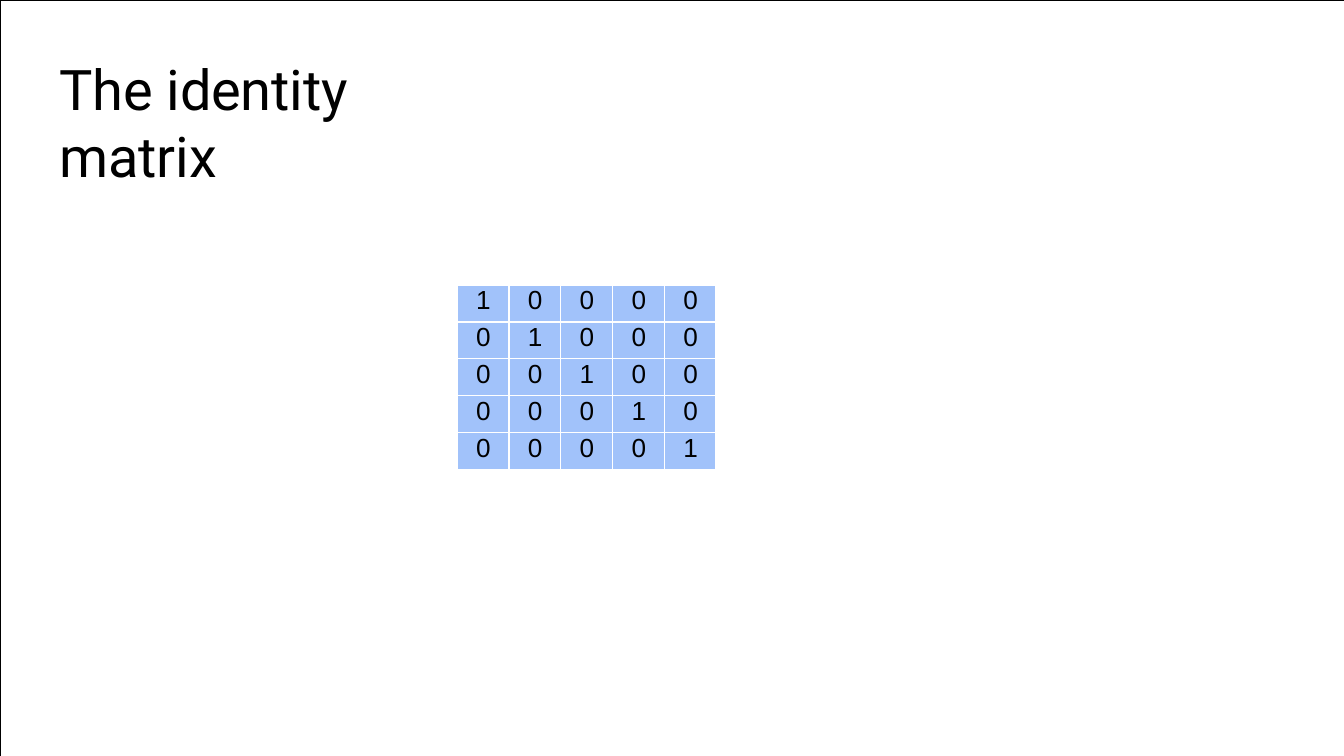
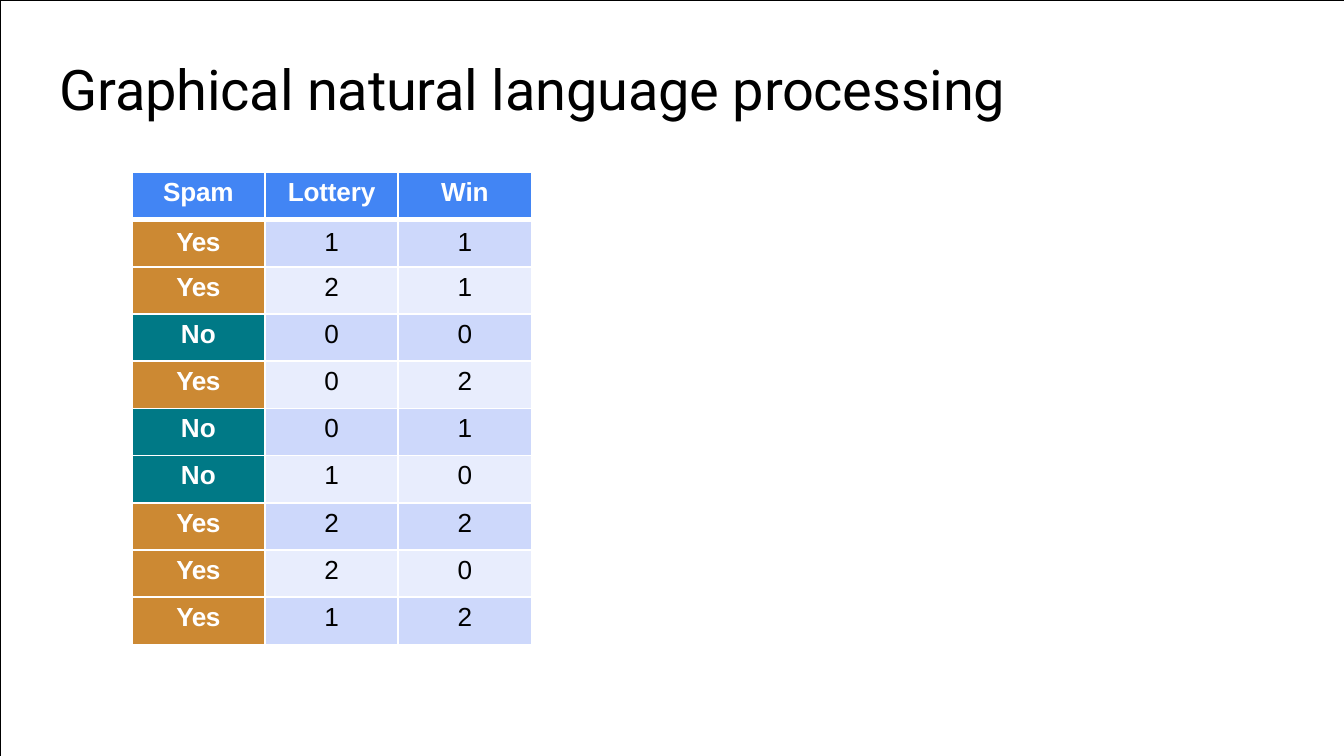
from dataclasses import dataclass

import lxml.etree
import pptx
import pptx.dml.color
import pptx.enum.text
import pptx.oxml.ns
import pptx.util

Pt = pptx.util.Pt
RGBColor = pptx.dml.color.RGBColor
Align = pptx.enum.text.PP_ALIGN
qn = pptx.oxml.ns.qn

# Shared look
BLACK = RGBColor(0x00, 0x00, 0x00)
WHITE = RGBColor(0xFF, 0xFF, 0xFF)
MATRIX_BLUE = RGBColor(0xA1, 0xC2, 0xFA)
HEADER_BLUE = RGBColor(0x42, 0x85, 0xF4)
SPAM_ORANGE = RGBColor(0xCC, 0x89, 0x33)
HAM_TEAL = RGBColor(0x00, 0x79, 0x86)
BAND_DARK = RGBColor(0xCD, 0xD8, 0xFB)
BAND_LIGHT = RGBColor(0xE8, 0xED, 0xFD)
SLIDE_WIDTH, SLIDE_HEIGHT = Pt(720), Pt(405)
TITLE_FONT = {"name": "Roboto", "size": Pt(30)}
CELL_FONT = {"name": "Arial", "size": Pt(14)}
THIN, THICK = Pt(1), Pt(3)

MATRIX_SIZE = 5
SPAM_HEADER = ("Spam", "Lottery", "Win")
SPAM_ROWS = (
    ("Yes", 1, 1), ("Yes", 2, 1), ("No", 0, 0),
    ("Yes", 0, 2), ("No", 0, 1), ("No", 1, 0),
    ("Yes", 2, 2), ("Yes", 2, 0), ("Yes", 1, 2),
)


@dataclass(frozen=True)
class Cell:
    text: str
    fill: RGBColor
    color: RGBColor = BLACK
    bold: bool = False
    spacing: float = 0
    align: Align = Align.CENTER
    margin_top: float = 2.9
    margin_right: float = 0
    top_line: int = THIN
    bottom_line: int = THIN


@dataclass(frozen=True)
class Grid:
    left: float
    top: float
    column_width: float
    row_height: float
    cells: list[list[Cell]]


def apply_format(target, values: dict) -> None:
    for name, value in values.items():
        setattr(target, name, value)


def write_text(paragraph, text: str, font: dict, color: RGBColor, spacing: float) -> None:
    run = paragraph.add_run()
    run.text = text
    apply_format(run.font, font)
    run.font.color.rgb = color
    if spacing:
        run.font._element.set("spc", str(round(spacing * 100)))


def add_titled_slide(deck, title: str, title_width: float):
    slide = deck.slides.add_slide(deck.slide_layouts[6])
    slide.background.fill.solid()
    slide.background.fill.fore_color.rgb = WHITE

    # Hairline frame around the page
    outline = slide.shapes.build_freeform(0, SLIDE_HEIGHT)
    outline.add_line_segments([(SLIDE_WIDTH, SLIDE_HEIGHT), (SLIDE_WIDTH, 0), (0, 0)])
    frame = outline.convert_to_shape()
    frame.shadow.inherit = False
    frame.fill.background()
    frame.line.color.rgb = BLACK
    frame.line.width = Pt(0.25)

    # Title
    heading = slide.shapes.add_textbox(Pt(31), Pt(28), Pt(title_width), Pt(38)).text_frame
    apply_format(heading, {
        "word_wrap": True,
        "auto_size": pptx.enum.text.MSO_AUTO_SIZE.SHAPE_TO_FIT_TEXT,
        "margin_left": Pt(0), "margin_top": Pt(1),
        "margin_right": Pt(0), "margin_bottom": Pt(0),
    })
    paragraph = heading.paragraphs[0]
    paragraph._p.get_or_add_pPr().set("marL", str(Pt(1)))
    write_text(paragraph, title, TITLE_FONT, BLACK, -0.1)
    return slide


def add_border(cell, side: str, width: int) -> None:
    line = lxml.etree.SubElement(cell._tc.get_or_add_tcPr(), qn(f"a:ln{side}"), w=str(width))
    fill = lxml.etree.SubElement(line, qn("a:solidFill"))
    lxml.etree.SubElement(fill, qn("a:srgbClr"), val=str(WHITE))


def draw_cell(cell, content: Cell) -> None:
    borders = {"L": THIN, "R": THIN, "T": content.top_line, "B": content.bottom_line}
    for side, width in borders.items():
        add_border(cell, side, width)
    cell.fill.solid()
    cell.fill.fore_color.rgb = content.fill
    apply_format(cell, {
        "margin_left": Pt(0), "margin_top": Pt(content.margin_top),
        "margin_right": Pt(0), "margin_bottom": Pt(0),
    })
    paragraph = cell.text_frame.paragraphs[0]
    paragraph.alignment = content.align
    if content.margin_right:
        paragraph._p.get_or_add_pPr().set("marR", str(Pt(content.margin_right)))
    write_text(paragraph, content.text, CELL_FONT | {"bold": content.bold},
               content.color, content.spacing)


def draw_grid(slide, grid: Grid) -> None:
    row_count, column_count = len(grid.cells), len(grid.cells[0])
    table = slide.shapes.add_table(
        row_count, column_count, Pt(grid.left), Pt(grid.top),
        Pt(grid.column_width * column_count), Pt(grid.row_height * row_count)).table
    for column in table.columns:
        column.width = Pt(grid.column_width)
    for row, contents in zip(table.rows, grid.cells):
        row.height = Pt(grid.row_height)
        for cell, content in zip(row.cells, contents):
            draw_cell(cell, content)


def identity_cells() -> list[list[Cell]]:
    return [[Cell(str(int(row == column)), MATRIX_BLUE, align=Align.RIGHT,
                  margin_top=0.7, margin_right=9.8)
             for column in range(MATRIX_SIZE)] for row in range(MATRIX_SIZE)]


def spam_cells() -> list[list[Cell]]:
    header = [Cell(name, HEADER_BLUE, WHITE, True, -0.1, bottom_line=THICK)
              for name in SPAM_HEADER]
    rows = [header]
    for index, (label, *counts) in enumerate(SPAM_ROWS):
        # The first row sits under the thick header rule
        edge = {"top_line": THICK, "margin_top": 4.3} if index == 0 else {}
        is_spam = label == "Yes"
        label_cell = Cell(label, SPAM_ORANGE if is_spam else HAM_TEAL, WHITE, True,
                          -0.3 if is_spam else 0, **edge)
        band = BAND_LIGHT if index % 2 else BAND_DARK
        rows.append([label_cell] + [Cell(str(count), band, **edge) for count in counts])
    return rows


def main() -> None:
    deck = pptx.Presentation()
    apply_format(deck, {"slide_width": SLIDE_WIDTH, "slide_height": SLIDE_HEIGHT})

    # Identity matrix
    identity = add_titled_slide(deck, "The identity matrix", 240)
    draw_grid(identity, Grid(244.8, 152.6, 27.8, 19.8, identity_cells()))

    # Word counts by message
    language = add_titled_slide(deck, "Graphical natural language processing", 516)
    draw_grid(language, Grid(70.6, 92.4, 71.4, 25.3, spam_cells()))

    deck.save("out.pptx")


if __name__ == "__main__":
    main()
